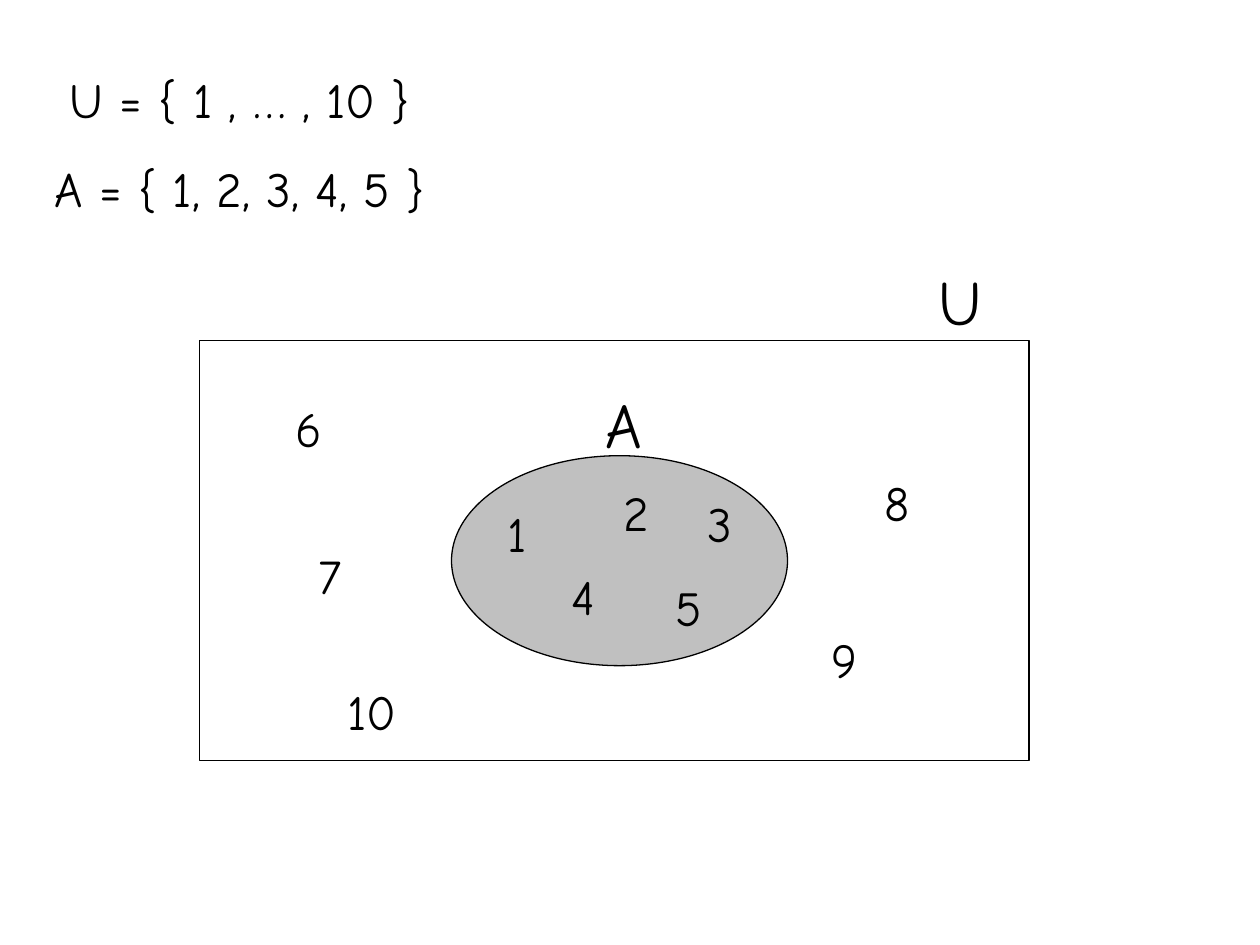
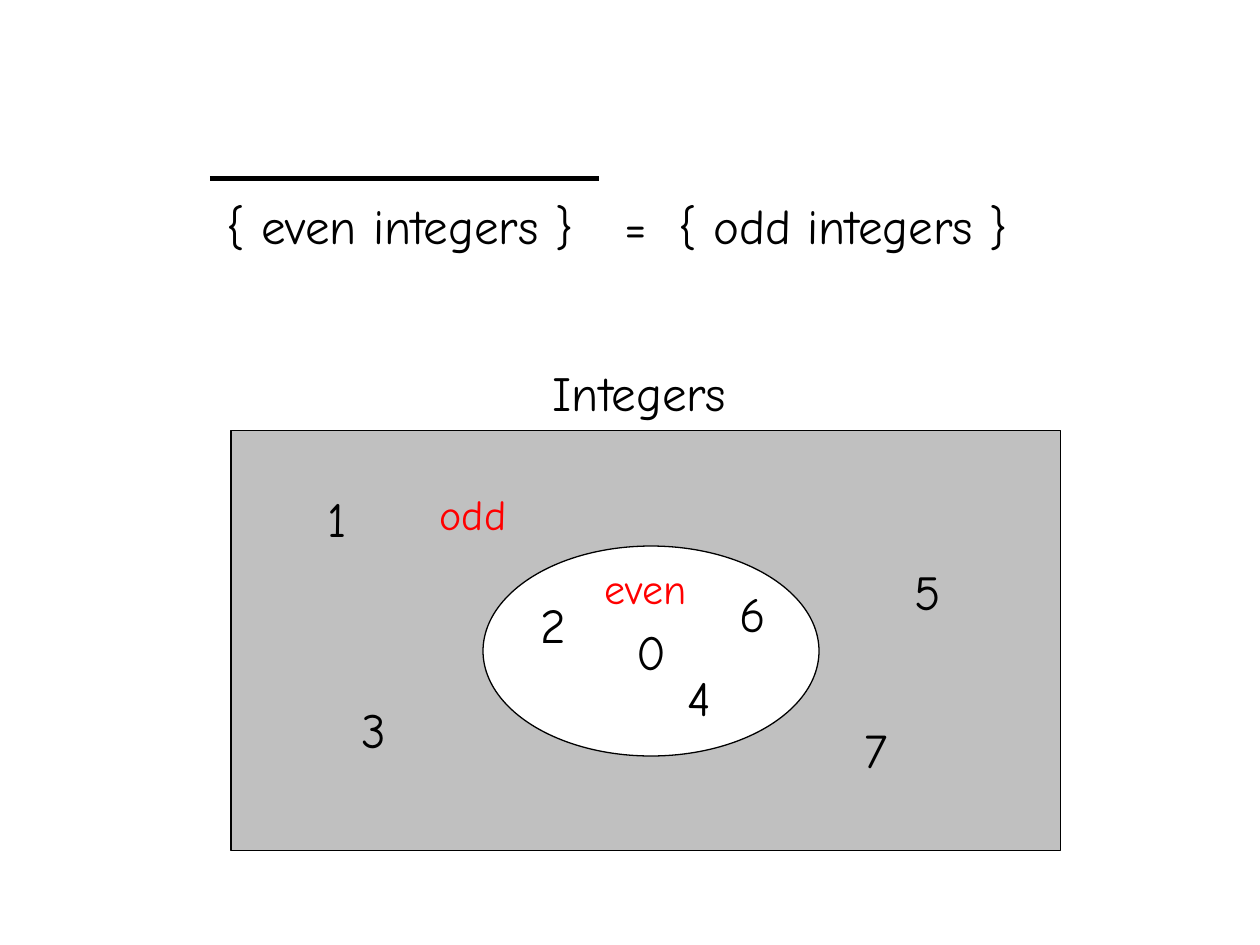
"""Build two slides of Venn diagrams about sets and complements."""
from lxml.etree import SubElement
from pptx import Presentation
from pptx.dml.color import RGBColor
from pptx.enum.shapes import MSO_CONNECTOR as Connector, MSO_SHAPE as Preset
from pptx.enum.text import MSO_ANCHOR as Anchor, MSO_AUTO_SIZE as AutoSize, PP_ALIGN as Align
from pptx.oxml.ns import qn
from pptx.util import Pt

BLACK = RGBColor(0x00, 0x00, 0x00)
WHITE = RGBColor(0xFF, 0xFF, 0xFF)
GRAY = RGBColor(0xC0, 0xC0, 0xC0)
RED = RGBColor(0xFF, 0x00, 0x00)

FONT = "Comic Neue"
BODY, SET_NAME, KIND = 28, 36, 24
LINE_HEIGHT = {BODY: 41, SET_NAME: 50.4, KIND: 36}


def style_text(paragraph, size=BODY, color=BLACK, align=Align.LEFT):
    paragraph.alignment = align
    font_format = {"name": FONT, "size": Pt(size), "bold": False}
    for name, value in font_format.items():
        setattr(paragraph.font, name, value)
    paragraph.font.color.rgb = color


def add_text(slide, lines, left, top, width, size=BODY, color=BLACK, align=Align.LEFT, wrap=False):
    height = LINE_HEIGHT[size] * len(lines)
    shape = slide.shapes.add_textbox(Pt(left), Pt(top), Pt(width), Pt(height))
    frame = shape.text_frame
    frame_format = {"text": "\n".join(lines), "word_wrap": wrap, "auto_size": AutoSize.SHAPE_TO_FIT_TEXT}
    for name, value in frame_format.items():
        setattr(frame, name, value)
    for paragraph in frame.paragraphs:
        style_text(paragraph, size, color, align)
    return frame.paragraphs


presentation = Presentation()
presentation.slide_width, presentation.slide_height = Pt(720), Pt(540)

diagrams = [
    {
        "corner": (114, 194.4), "universe_fill": None, "set_fill": GRAY, "center": "",
        "numbers": [
            ("1", 283, 284.4, 25), ("2", 349.2, 272.2, 29), ("3", 397.4, 278.6, 28),
            ("4", 319.7, 320.4, 28), ("5", 378.7, 326.2, 29.5), ("6", 162, 223.9, 29.5),
            ("7", 175, 308.2, 27.4), ("8", 498.2, 266.4, 29), ("9", 468, 356.4, 29),
            ("10", 191.5, 385.9, 42.5),
        ],
        "names": [("A", 339.1, 216.7, 35, SET_NAME, BLACK), ("U", 529.2, 146.2, 39, SET_NAME, BLACK)],
    },
    {
        "corner": (132, 246), "universe_fill": GRAY, "set_fill": WHITE, "center": "0",
        "numbers": [
            ("2", 301.7, 336.2, 29), ("4", 385.9, 378, 28), ("6", 415.4, 329.8, 29.5),
            ("1", 180, 275.8, 25), ("3", 199.4, 396, 28), ("5", 515.5, 317.5, 29.5),
            ("7", 486.7, 407.5, 27.4),
        ],
        "names": [
            ("even", 337.7, 318.2, 62, KIND, RED), ("odd", 244.1, 275.8, 52.6, KIND, RED),
            ("Integers", 308.2, 203.8, 114.5, BODY, BLACK),
        ],
    },
]

slides = []
for diagram in diagrams:
    slide = presentation.slides.add_slide(presentation.slide_layouts[6])
    slides.append(slide)
    left, top = diagram["corner"]
    outlines = [
        (Preset.RECTANGLE, left, top, 474, 240, diagram["universe_fill"], ""),
        (Preset.OVAL, left + 144, top + 66, 192, 120, diagram["set_fill"], diagram["center"]),
    ]
    for preset, x, y, width, height, fill, text in outlines:
        shape = slide.shapes.add_shape(preset, Pt(x), Pt(y), Pt(width), Pt(height))
        shape.shadow.inherit = False
        if fill is None:
            shape.fill.background()
        else:
            shape.fill.solid()
            shape.fill.fore_color.rgb = fill
        shape.line.color.rgb = BLACK
        shape.line.width = Pt(0.75)
        if text:
            frame = shape.text_frame
            frame_format = {"text": text, "word_wrap": False, "vertical_anchor": Anchor.MIDDLE}
            for name, value in frame_format.items():
                setattr(frame, name, value)
            style_text(frame.paragraphs[0], align=Align.CENTER)
    for text, x, y, width in diagram["numbers"]:
        add_text(slide, [text], x, y, width)
    for text, x, y, width, size, color in diagram["names"]:
        add_text(slide, [text], x, y, width, size, color, Align.CENTER)

sets_slide, complement_slide = slides

universe_line, set_line = add_text(
    sets_slide, ["U = { 1 , … , 10 }", "A = { 1, 2, 3, 4, 5 }"], 24, 36, 648, wrap=True)
universe_line._p.get_or_add_pPr().set("marL", str(Pt(8.6)))
set_line.space_before = Pt(17.5)

equation = add_text(complement_slide, ["{ even integers }\t=\t{ odd integers }"], 122.4, 108, 519, wrap=True)[0]
tab_list = SubElement(equation._p.get_or_add_pPr(), qn("a:tabLst"))
equation._p.pPr.insert(0, tab_list)
for position in (227.5, 258.5):
    SubElement(tab_list, qn("a:tab"), pos=str(Pt(position)), algn="l")

complement_bar = complement_slide.shapes.add_connector(
    Connector.STRAIGHT, Pt(120), Pt(102), Pt(342), Pt(102))
complement_bar.line.color.rgb = BLACK
complement_bar.line.width = Pt(3)
SubElement(complement_bar._element.spPr, qn("a:effectLst"))

presentation.save("out.pptx")
